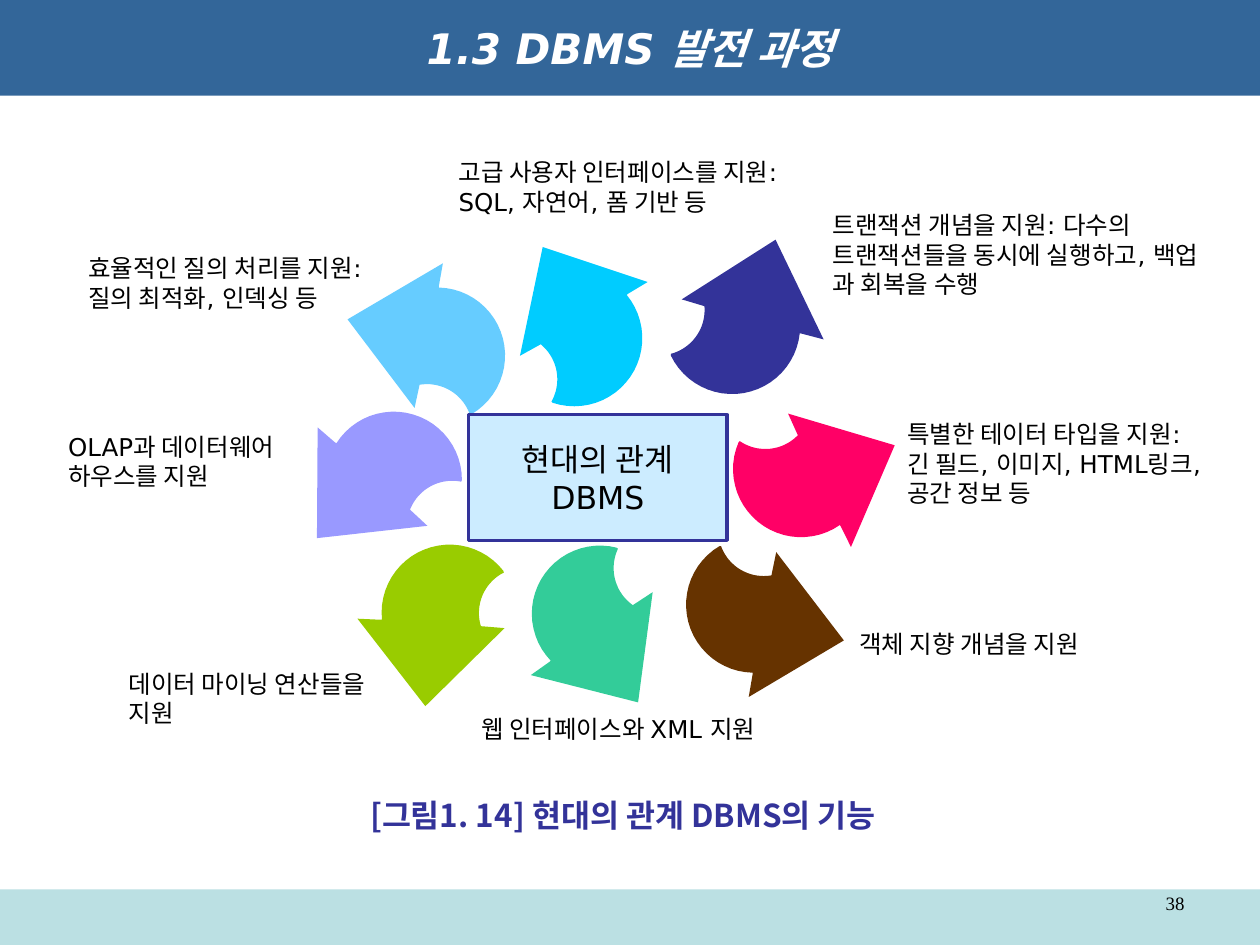
"""Build the slide on the functions of a modern relational DBMS."""
from math import cos, radians, sin

from pptx import Presentation
from pptx.dml.color import RGBColor
from pptx.enum.shapes import MSO_SHAPE
from pptx.enum.text import MSO_ANCHOR, MSO_AUTO_SIZE, PP_ALIGN
from pptx.util import Inches, Pt

HUES = {
    "blue": "336699", "band": "BBE0E3", "white": "FFFFFF", "black": "000000",
    "navy": "333399", "pale": "CCECFF", "cyan": "00CCFF", "lilac": "9999FF",
    "jade": "33CC99", "sky": "66CCFF", "lime": "99CC00", "brown": "663300",
    "pink": "FF0066",
}
SANS = "DejaVu Sans"


def paint(shape, hue):
    shape.shadow.inherit = False
    shape.fill.solid()
    shape.fill.fore_color.rgb = RGBColor.from_string(HUES[hue])
    shape.line.fill.background()


def write(frame, lines, size, face=SANS, hue="black", align=PP_ALIGN.LEFT, bold=False):
    for row, line in enumerate(lines):
        para = frame.paragraphs[0] if row == 0 else frame.add_paragraph()
        para.alignment = align
        run = para.add_run()
        run.text = line
        run.font.name = face
        run.font.size = Pt(size)
        run.font.bold = bold
        run.font.color.rgb = RGBColor.from_string(HUES[hue])


deck = Presentation()
deck.slide_width, deck.slide_height = Inches(10), Inches(7.5)
slide = deck.slides.add_slide(deck.slide_layouts[5])
shapes = slide.shapes

band = shapes.add_shape(MSO_SHAPE.RECTANGLE, 0, Inches(7.06), Inches(10), Inches(0.44))
paint(band, "band")

title = shapes.title
title.left, title.top, title.width, title.height = 0, 0, Inches(10), Inches(0.76)
title.fill.solid()
title.fill.fore_color.rgb = RGBColor.from_string(HUES["blue"])
title.text_frame.vertical_anchor = MSO_ANCHOR.MIDDLE
write(title.text_frame, ["1.3 DBMS 발전 과정"], 24, hue="white", align=PP_ALIGN.CENTER, bold=True)
title.text_frame.paragraphs[0].runs[0].font.italic = True

number = shapes.add_textbox(Inches(7.17), Inches(7.06), Inches(2.33), Inches(0.29))
number.text_frame.word_wrap = True
write(number.text_frame, ["38"], 10.8, "Times New Roman", align=PP_ALIGN.RIGHT)
number.text_frame.paragraphs[0].line_spacing = 0.8

outline = [(0.15, 0.38), (0.21, 0.55), (0.65, -0.21), (-0.16, -0.56)]
for mid, high, rad, start, end in [(-0.33, -0.66, 0.36, 51, 131), (-0.11, -0.11, 0.54, 210, 62)]:
    for step in range(25):
        turn = radians(start + (end - start) * step / 24)
        outline.append((mid + rad * cos(turn), high + rad * sin(turn)))

arrows = [
    (4.1, 2.09, 240, 18.4, "cyan"),
    (2.37, 3.19, 120, 30.3, "lilac"),
    (4.04, 4.45, 0, 74.2, "jade"),
    (2.98, 2.2, 240, 329.5, "sky"),
    (2.85, 4.34, 120, 352.1, "lime"),
    (5.31, 2, 0, 304.2, "navy"),
    (5.38, 4.39, 0, 29.2, "brown"),
    (5.83, 3.26, 0, 353.2, "pink"),
]
for left, top, base, spin, hue in arrows:
    c, s = cos(radians(base)), sin(radians(base))
    points = [(Inches(x * c - y * s), Inches(x * s + y * c)) for x, y in outline]
    pen = shapes.build_freeform(*points[0])
    pen.add_line_segments(points[1:], close=True)
    arrow = pen.convert_to_shape()
    arrow.left, arrow.top = Inches(left), Inches(top)
    arrow.rotation = spin
    paint(arrow, hue)

hub = shapes.add_shape(MSO_SHAPE.RECTANGLE, Inches(3.72), Inches(3.29), Inches(2.05), Inches(1))
paint(hub, "pale")
hub.line.color.rgb = RGBColor.from_string(HUES["navy"])
hub.line.width = Pt(1.75)
hub.text_frame.word_wrap = False
hub.text_frame.vertical_anchor = MSO_ANCHOR.MIDDLE
write(hub.text_frame, ["현대의 관계", "DBMS"], 18, align=PP_ALIGN.CENTER)

labels = [
    (3.48, 1.2, 3.04, 0.57, ["고급 사용자 인터페이스를 지원:", "SQL, 자연어, 폼 기반 등"]),
    (0.54, 1.96, 2.67, 0.57, ["효율적인 질의 처리를 지원:", "질의 최적화, 인덱싱 등"]),
    (0.38, 3.38, 2.05, 0.57, ["OLAP과 데이터웨어", "하우스를 지원"]),
    (0.86, 5.26, 2.32, 0.57, ["데이터 마이닝 연산들을", "지원"]),
    (3.66, 5.62, 2.67, 0.34, ["웹 인터페이스와 XML 지원"]),
    (6.66, 4.94, 2.19, 0.34, ["객체 지향 개념을 지원"]),
    (7.04, 3.28, 2.91, 0.8, ["특별한 테이터 타입을 지원:", "긴 필드, 이미지, HTML링크,", "공간 정보 등"]),
    (6.45, 1.62, 3.46, 0.8, ["트랜잭션 개념을 지원: 다수의", "트랜잭션들을 동시에 실행하고, 백업", "과 회복을 수행"]),
]
for left, top, width, height, lines in labels:
    label = shapes.add_textbox(Inches(left), Inches(top), Inches(width), Inches(height))
    frame = label.text_frame
    frame.word_wrap = False
    frame.auto_size = MSO_AUTO_SIZE.SHAPE_TO_FIT_TEXT
    frame.margin_left = frame.margin_right = Inches(0.16)
    write(frame, lines, 14)

note = shapes.add_textbox(Inches(2.36), Inches(6.27), Inches(5.17), Inches(0.4))
note.text_frame.word_wrap = True
write(note.text_frame, ["[그림1. 14] 현대의 관계 DBMS의 기능"], 18, "Noto Sans CJK KR", "navy", PP_ALIGN.CENTER, True)

deck.save("out.pptx")
